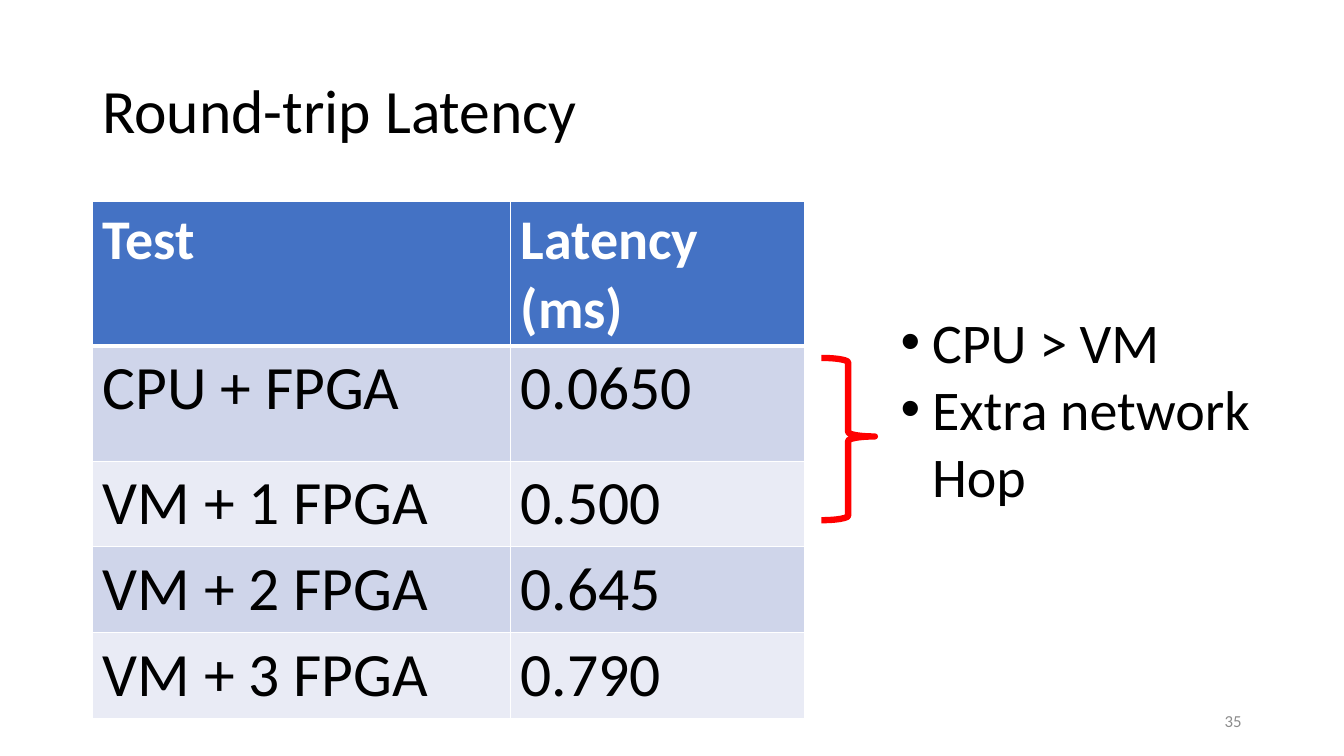
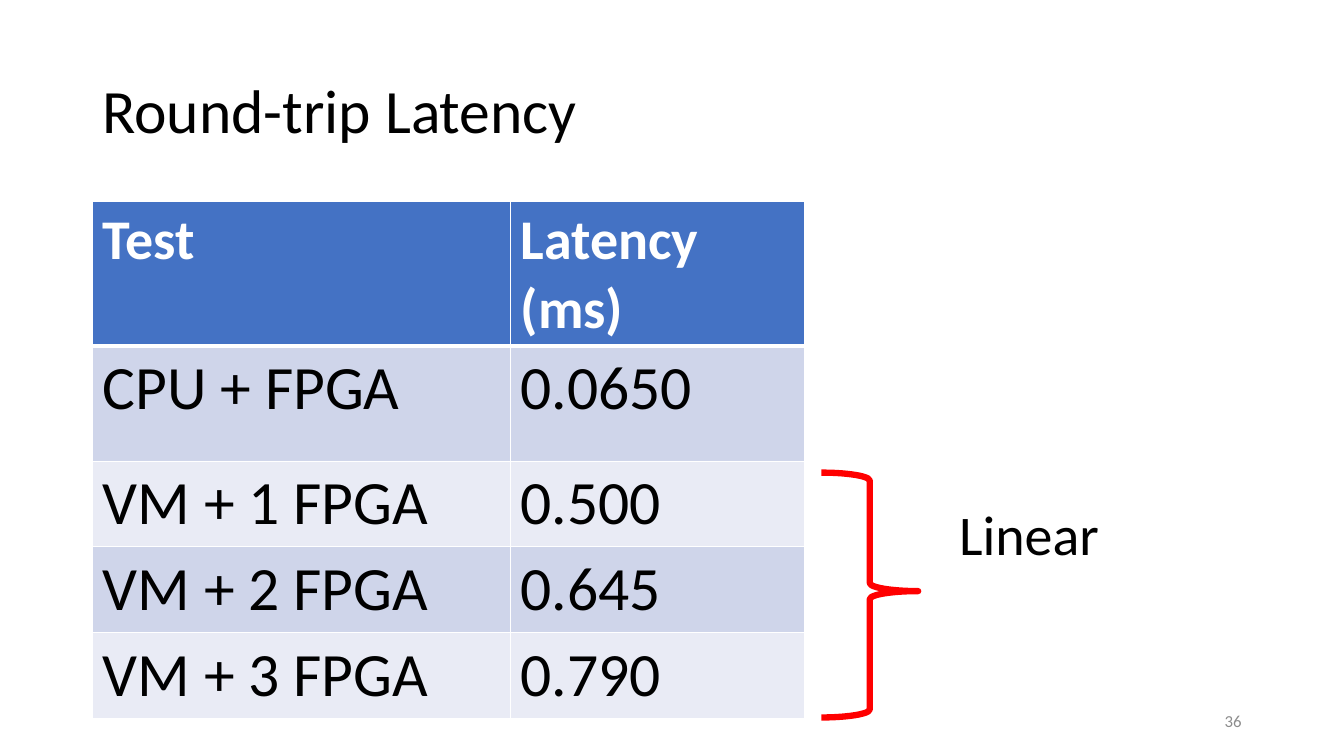
"""Builds two slides on round-trip latency, each bracketing different table rows."""
from lxml import etree
from pptx import Presentation
from pptx.dml.color import RGBColor
from pptx.enum.shapes import MSO_SHAPE
from pptx.enum.text import MSO_ANCHOR, PP_ALIGN
from pptx.oxml.ns import qn
from pptx.util import Cm, Pt

BLACK = RGBColor(0x00, 0x00, 0x00)
WHITE = RGBColor(0xFF, 0xFF, 0xFF)
GREY = RGBColor(0x8C, 0x8C, 0x8C)
RED = RGBColor(0xFF, 0x00, 0x00)
HEADER_BLUE = RGBColor(0x44, 0x72, 0xC4)
BANDS = (RGBColor(0xCF, 0xD5, 0xEA), RGBColor(0xE9, 0xEB, 0xF5))
RIGHT_BRACE = MSO_SHAPE.RIGHT_BRACE
MIDDLE, TOP = MSO_ANCHOR.MIDDLE, MSO_ANCHOR.TOP
LEFT, RIGHT = PP_ALIGN.LEFT, PP_ALIGN.RIGHT

FONT = "Calibri"
MARGIN = 2.33
BRACE_LEFT = 20.7
COLUMN_WIDTHS = (10.54, 7.42)
ROW_HEIGHTS = (3.62, 2.9, 2.16, 2.16, 2.16)
LATENCIES = (
    ("Test", "Latency (ms)"),
    ("CPU + FPGA", "0.0650"),
    ("VM + 1 FPGA", "0.500"),
    ("VM + 2 FPGA", "0.645"),
    ("VM + 3 FPGA", "0.790"),
)


class Deck:
    """Holds the shared style and the current slide."""

    def __init__(self):
        self.prs = Presentation()
        self.prs.slide_width, self.prs.slide_height = Cm(33.87), Cm(19.05)
        self.slide = None

    def new_slide(self, title, number):
        self.slide = self.prs.slides.add_slide(self.prs.slide_layouts[6])
        heading = self.text([title], MARGIN, 1.01, 29.21, 3.68, 44, anchor=MIDDLE)
        heading.paragraphs[0].line_spacing = 0.9
        self.text([str(number)], 23.92, 17.66, 7.62, 1.01, 12, GREY, MIDDLE, RIGHT)

    def style(self, paragraph, size, color, bold=False):
        for run in paragraph.runs:
            run.font.name, run.font.size, run.font.bold = FONT, Pt(size), bold
            run.font.color.rgb = color

    def text(self, lines, left, top, width, height, size,
             color=BLACK, anchor=TOP, align=LEFT):
        frame = self.slide.shapes.add_textbox(
            Cm(left), Cm(top), Cm(width), Cm(height)).text_frame
        frame.word_wrap = True
        frame.vertical_anchor = anchor
        frame.text = "\n".join(lines)
        for paragraph in frame.paragraphs:
            paragraph.alignment = align
            self.style(paragraph, size, color)
        return frame

    def bullets(self, lines, left, top, width, height, size):
        frame = self.text(lines, left, top, width, height, size)
        for paragraph in frame.paragraphs:
            props = paragraph._p.get_or_add_pPr()
            props.set("marL", str(Cm(0.79)))
            props.set("indent", str(-Cm(0.79)))
            font = etree.SubElement(props, qn("a:buFont"))
            font.set("typeface", "Arial")
            etree.SubElement(props, qn("a:buChar")).set("char", "•")

    def brace(self, top, width, height):
        brace = self.slide.shapes.add_shape(
            RIGHT_BRACE, Cm(BRACE_LEFT), Cm(top), Cm(width), Cm(height))
        brace.shadow.inherit = False
        brace.adjustments[0], brace.adjustments[1] = 0.083, 0.484
        brace.fill.background()
        brace.line.color.rgb = RED
        brace.line.width = Pt(4.5)

    def borders(self, cell, **widths):
        props = cell._tc.get_or_add_tcPr()
        for side in "LRTB":
            line = etree.SubElement(props, qn(f"a:ln{side}"))
            line.set("w", str(Pt(widths.get(side, 1))))
            fill = etree.SubElement(line, qn("a:solidFill"))
            etree.SubElement(fill, qn("a:srgbClr")).set("val", str(WHITE))

    def table(self, rows):
        table = self.slide.shapes.add_table(
            len(rows), len(COLUMN_WIDTHS), Cm(MARGIN), Cm(5.08),
            Cm(sum(COLUMN_WIDTHS)), Cm(sum(ROW_HEIGHTS))).table
        for column, width in zip(table.columns, COLUMN_WIDTHS):
            column.width = Cm(width)
        for r, (values, height) in enumerate(zip(rows, ROW_HEIGHTS)):
            table.rows[r].height = Cm(height)
            header = r == 0
            for c, value in enumerate(values):
                cell = table.cell(r, c)
                self.borders(cell, T=3 if r == 1 else 1, B=3 if header else 1)
                cell.fill.solid()
                cell.fill.fore_color.rgb = HEADER_BLUE if header else BANDS[(r - 1) % 2]
                cell.text_frame.text = value
                self.style(cell.text_frame.paragraphs[0], 40 if header else 44,
                           WHITE if header else BLACK, header)


def main():
    deck = Deck()

    deck.new_slide("Round-trip Latency", 35)
    deck.brace(9.02, 1.35, 4.09)
    deck.bullets(["CPU > VM", "Extra network \vHop"], 22.45, 7.62, 9.73, 7.09, 40)
    deck.table(LATENCIES)

    deck.new_slide("Round-trip Latency", 36)
    deck.brace(11.91, 2.44, 6.17)
    deck.text(["Linear"], 23.92, 12.47, 4.2, 1.96, 40)
    deck.table(LATENCIES)

    deck.prs.save("out.pptx")


if __name__ == "__main__":
    main()
